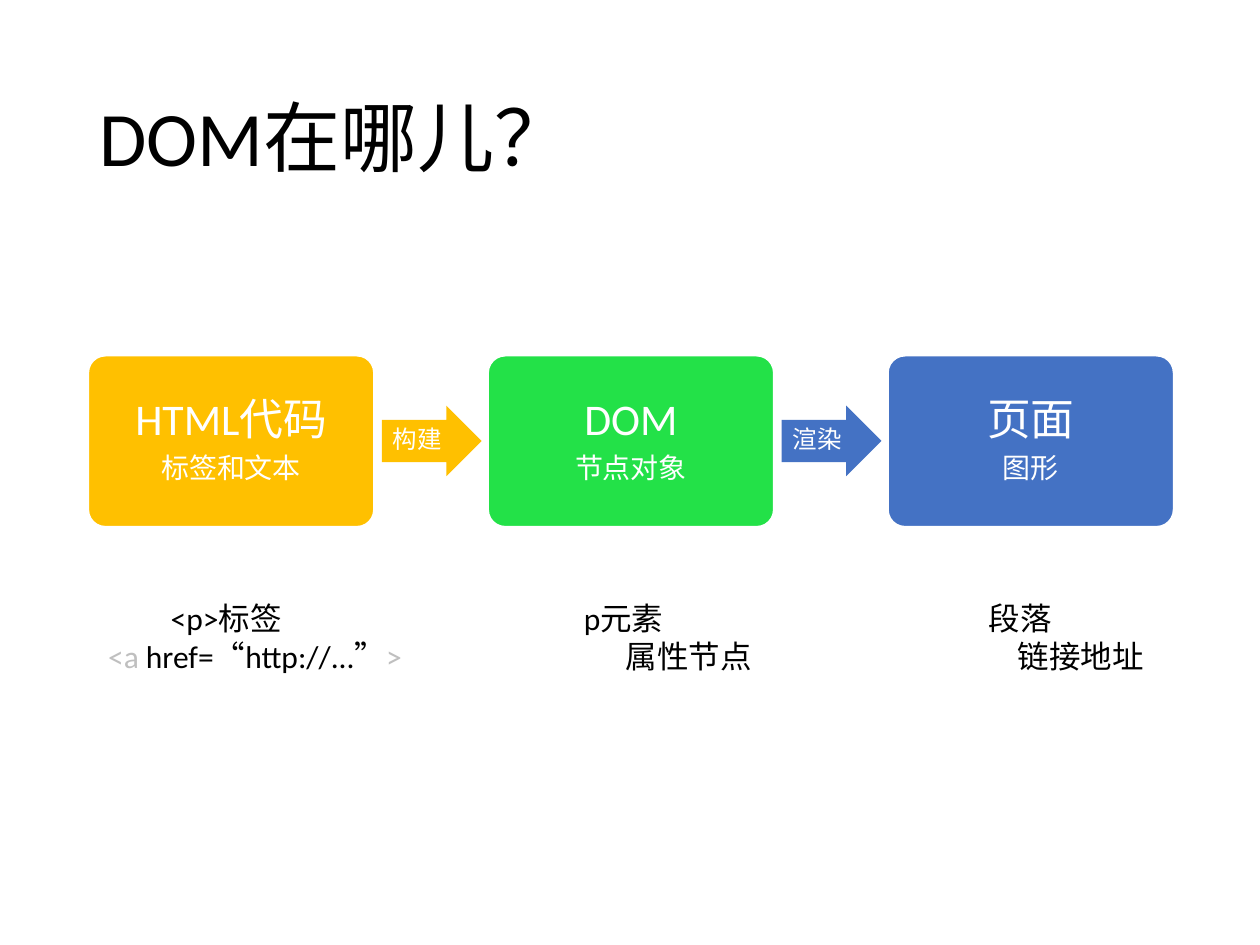
from lxml.etree import SubElement
from pptx import Presentation
from pptx.dml.color import RGBColor
from pptx.enum.shapes import MSO_SHAPE as Kind
from pptx.enum.text import MSO_ANCHOR as Anchor, PP_ALIGN as Align
from pptx.oxml.ns import qn
from pptx.util import Cm, Pt


def style(run, size, color):
    """Set the font, size and colour of a run."""
    run.font.name = "Calibri"
    run.font.size = Pt(size)
    run.font.color.rgb = RGBColor.from_string(color)


def block(kind, box, fill, adjust, lines, inset):
    """Add a filled shape with centred white lines of (text, size)."""
    shape = slide.shapes.add_shape(kind, *map(Cm, box))
    shape.shadow.inherit = False
    shape.fill.solid()
    shape.fill.fore_color.rgb = RGBColor.from_string(fill)
    shape.line.fill.background()
    for i, value in enumerate(adjust):
        shape.adjustments[i] = value
    frame = shape.text_frame
    frame.word_wrap = True
    frame.vertical_anchor = Anchor.MIDDLE
    frame.margin_left, frame.margin_top, frame.margin_right, frame.margin_bottom = map(Cm, inset)
    frame.text = "\n".join(text for text, size in lines)
    for para, (text, size) in zip(frame.paragraphs, lines):
        para.alignment = Align.CENTER
        para.line_spacing = 0.9
        para.space_after = Pt(5)
        style(para.runs[0], size, "FFFFFF")
    return shape


deck = Presentation()
deck.slide_width, deck.slide_height = Cm(25.4), Cm(19.05)
slide = deck.slides.add_slide(deck.slide_layouts[5])

title = slide.shapes.title
title.left, title.top, title.width, title.height = map(Cm, (1.75, 1.01, 21.9, 3.68))
title.text_frame.text = "DOM在哪儿？"
title.text_frame.vertical_anchor = Anchor.MIDDLE
head = title.text_frame.paragraphs[0]
head.alignment = Align.LEFT
head.line_spacing = 0.9
style(head.runs[0], 44, "000000")

# Three stages, each later one led in by an arrow
left, step = 1.78, 8.06
stages = [
    ("HTML代码", "标签和文本", "FFC000"),
    ("DOM", "节点对象", "23E148"),
    ("页面", "图形", "4472C4"),
]
for i, (name, note, fill) in enumerate(stages):
    card = block(Kind.ROUNDED_RECTANGLE, (left + i * step, 7.17, 5.76, 3.45), fill,
                 [0.1], [(name, 25), (note, 16)], [0.3] * 4)
    card.line.color.rgb = RGBColor.from_string("FFFFFF")
    card.line.width = Pt(1)
arrows = [("构建", "FFC000"), ("渲染", "4472C4")]
for i, (name, fill) in enumerate(arrows):
    block(Kind.RIGHT_ARROW, (left + 5.92 + i * step, 8.18, 2.01, 1.42), fill,
          [0.6, 0.5], [(name, 14)], [0, 0, 0.15, 0])

# Examples under the stages, aligned by tab stops
rows = [
    ([("\t<p>标签\tp元素\t段落", "000000")], [1.26, 9.59, 17.75]),
    ([("<a ", "BFBFBF"), ("href=“http://...”", "000000"), (">", "BFBFBF"),
      ("\t属性节点\t链接地址", "000000")], [10.44, 18.34]),
]
notes = slide.shapes.add_textbox(Cm(1.93), Cm(11.96), Cm(21.72), Cm(1.8)).text_frame
notes.word_wrap = True
for i, (parts, stops) in enumerate(rows):
    para = notes.add_paragraph() if i else notes.paragraphs[0]
    tabs = SubElement(para._p.get_or_add_pPr(), qn("a:tabLst"))
    for stop in stops:
        SubElement(tabs, qn("a:tab"), pos=str(Cm(stop)), algn="l")
    for text, color in parts:
        run = para.add_run()
        run.text = text
        style(run, 18, color)

deck.save("out.pptx")
